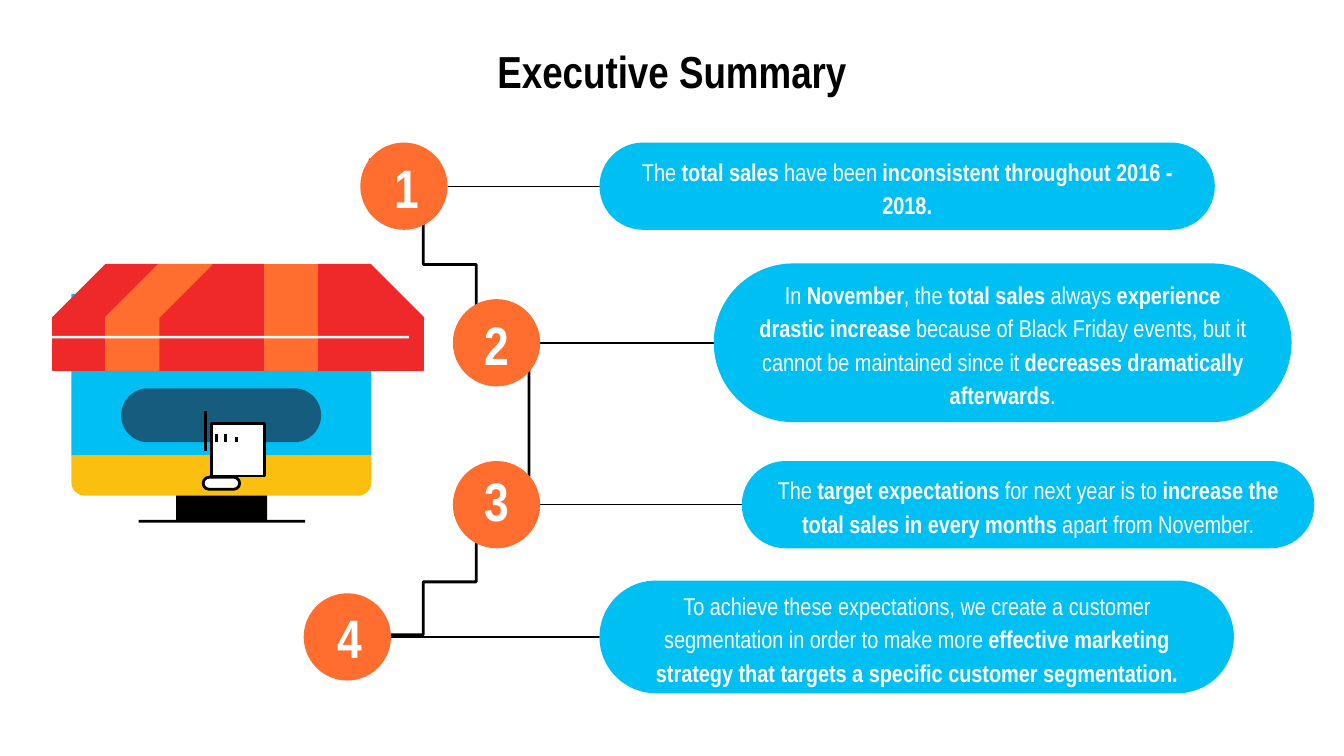
from dataclasses import dataclass
from math import cos, radians, sin

from lxml import etree
from pptx import Presentation
from pptx import util as u
from pptx.dml.color import RGBColor
from pptx.enum import shapes, text
from pptx.oxml.ns import qn

COLORS = {
    "black": "000000", "white": "FFFFFF", "orange": "FF6D2F", "red": "EF2929",
    "blue": "00C0F3", "navy": "165C7F", "yellow": "FBBF10",
}
FONT = "Arial Narrow"
CIRCLE = 1.65  # diameter of a number circle, cm
NUMBER_BOX = 1.75
OUTLINE = 1.5  # heavy line width, pt
SHAPE = shapes.MSO_SHAPE
Point = tuple[float, float]


@dataclass
class Item:
    number: str
    mid: float  # vertical centre, cm
    circle_left: float
    number_at: Point
    pill_left: float
    pill_width: float
    pill_height: float
    runs: tuple[str, ...]  # regular and bold in turn


ITEMS = [
    Item("1", 3.52, 6.81, (6.81, 2.67), 11.33, 11.63, 1.65,
         ("The ", "total sales", " have been ", "inconsistent throughout 2016 - 2018.")),
    Item("2", 6.48, 8.56, (8.51, 5.64), 13.49, 10.92, 3,
         ("In ", "November", ", the", " total sales", " always ",
          "experience drastic increase",
          " because of Black Friday events, but it cannot be maintained since it ",
          "decreases dramatically afterwards", ".")),
    Item("3", 9.54, 8.56, (8.51, 8.59), 14.02, 10.82, 1.65,
         ("The ", "target expectations", " for next year is to ",
          "increase the total sales in every months", " apart from November.")),
    Item("4", 12.04, 5.74, (5.74, 11.18), 11.33, 11.99, 2.13,
         ("To achieve these expectations, we create a customer segmentation "
          "in order to make more",
          " effective marketing strategy that targets a specific customer segmentation.")),
]

prs = Presentation()
prs.slide_width, prs.slide_height = u.Cm(25.4), u.Cm(14.29)
s = prs.slides.add_slide(prs.slide_layouts[6])


def rgb(name: str) -> RGBColor:
    return RGBColor.from_string(COLORS[name])


def paint(sp, fill: str | None, line: str | None = None, width: float = 0.75) -> None:
    sp.shadow.inherit = False
    if fill:
        sp.fill.solid()
        sp.fill.fore_color.rgb = rgb(fill)
    else:
        sp.fill.background()
    if line:
        sp.line.color.rgb = rgb(line)
        sp.line.width = u.Pt(width)
    else:
        sp.line.fill.background()


def add_shape(kind, x: float, y: float, w: float, h: float, fill: str,
              line: str | None = None, width: float = 0.75):
    sp = s.shapes.add_shape(kind, u.Cm(x), u.Cm(y), u.Cm(w), u.Cm(h))
    paint(sp, fill, line, width)
    if kind == SHAPE.ROUNDED_RECTANGLE:
        sp.adjustments[0] = 0.5
    return sp


def add_line(x1: float, y1: float, x2: float, y2: float, width: float = 0.75) -> None:
    cn = s.shapes.add_connector(shapes.MSO_CONNECTOR.STRAIGHT,
                                u.Cm(x1), u.Cm(y1), u.Cm(x2), u.Cm(y2))
    cn.line.color.rgb = rgb("black")
    cn.line.width = u.Pt(width)
    etree.SubElement(cn._element.spPr, qn("a:effectLst"))


def arc(cx: float, cy: float, rx: float, ry: float,
        start: float, end: float, steps: int = 16) -> list[Point]:
    """Points on an ellipse, clockwise from the right, angles in degrees."""
    angles = [radians(start + (end - start) * i / steps) for i in range(steps + 1)]
    return [(cx + rx * cos(a), cy + ry * sin(a)) for a in angles]


def add_outline(points: list[Point], fill: str | None, line: str,
                width: float = 0.75, close: bool = True) -> None:
    fb = s.shapes.build_freeform(*points[0], scale=u.Cm(1))
    fb.add_line_segments(points[1:], close=close)
    paint(fb.convert_to_shape(), fill, line, width)


def write(sp, runs: tuple[tuple[str, bool], ...], size: float, color: str,
          anchor, spacing: float = 1) -> None:
    tf = sp.text_frame
    tf.word_wrap = True
    tf.vertical_anchor = anchor
    tf.margin_left = tf.margin_right = tf.margin_top = tf.margin_bottom = u.Cm(0.25)
    p = tf.paragraphs[0]
    p.alignment = text.PP_ALIGN.CENTER
    p.line_spacing = spacing
    for words, bold in runs:
        r = p.add_run()
        r.text = words
        r.font.name, r.font.size, r.font.bold = FONT, u.Pt(size), bold
        r.font.color.rgb = rgb(color)


def add_text(words: str, x: float, y: float, w: float, h: float,
             size: float, color: str, anchor) -> None:
    sp = s.shapes.add_textbox(u.Cm(x), u.Cm(y), u.Cm(w), u.Cm(h))
    write(sp, ((words, True),), size, color, anchor)


def draw_store() -> None:
    # Monitor
    add_shape(SHAPE.RECTANGLE, 3.33, 9.25, 1.72, 0.61, "black")
    add_shape(SHAPE.RECTANGLE, 2.62, 9.83, 3.15, 0.05, "black")
    base = add_shape(SHAPE.ROUND_2_SAME_RECTANGLE, 1.35, 8.61, 5.67, 0.76, "yellow")
    base.adjustments[0], base.adjustments[1] = 0, 0.33
    add_shape(SHAPE.RECTANGLE, 1.35, 5.56, 5.67, 3.05, "blue")

    # Awning: stripes widen downwards and end in scallops
    top_step, low_step = 1.06, 1.42
    for i in (0, 2, 4, 1, 3):
        top, low = 1.52 + i * top_step, 0.64 + i * low_step
        scallop = arc(low + low_step / 2, 6.45, low_step / 2, 0.66, 0, 180)
        color = "orange" if i % 2 else "red"
        add_outline([(top, 5.18), (top + top_step, 5.18), (low + low_step, 6.38),
                     *scallop, (low, 6.38)], color, color)
    add_shape(SHAPE.RECTANGLE, 0.64, 6.35, 7.09, 0.05, "white")

    # Button
    add_shape(SHAPE.ROUNDED_RECTANGLE, 2.29, 7.34, 3.78, 1.02, "navy")

    # Hand: five fingertips, then the rounded palm
    tips = [(3.78, 8.41), (3.99, 7.77), (4.18, 8.2), (4.37, 8.26), (4.56, 8.33)]
    hand = [pt for x, y in tips for pt in arc(x, y, 0.1, 0.1, 180, 360)]
    hand += arc(4.4, 8.76, 0.26, 0.26, 0, 90) + arc(3.94, 8.76, 0.26, 0.26, 90, 180)
    add_outline(hand, "white", "black", OUTLINE)
    for x, y1, y2 in [(3.89, 7.77, 8.53), (4.09, 8.2, 8.36),
                      (4.27, 8.2, 8.36), (4.47, 8.26, 8.36)]:
        add_line(x, y1, x, y2, OUTLINE)
    add_shape(SHAPE.ROUNDED_RECTANGLE, 3.84, 9.02, 0.69, 0.23, "white", "black", OUTLINE)


def draw_item(item: Item) -> None:
    add_line(item.circle_left + CIRCLE, item.mid, item.pill_left, item.mid)
    add_shape(SHAPE.OVAL, item.circle_left, item.mid - CIRCLE / 2, CIRCLE, CIRCLE, "orange")
    pill = add_shape(SHAPE.ROUNDED_RECTANGLE, item.pill_left,
                     item.mid - item.pill_height / 2,
                     item.pill_width, item.pill_height, "blue")
    runs = tuple((words, i % 2 == 1) for i, words in enumerate(item.runs))
    write(pill, runs, 13, "white", text.MSO_ANCHOR.MIDDLE, 1.15)
    add_text(item.number, *item.number_at, NUMBER_BOX, NUMBER_BOX,
             29, "white", text.MSO_ANCHOR.TOP)


# Curve that joins the circles
add_outline(arc(4.75, 7.71, 4.9, 4.9, -60.4, 60.4, 48), None, "black", OUTLINE, close=False)
add_text("Executive Summary", 1.27, 0.53, 22.86, 1.6, 24, "black", text.MSO_ANCHOR.MIDDLE)
draw_store()
for item in ITEMS:
    draw_item(item)

prs.save("out.pptx")
